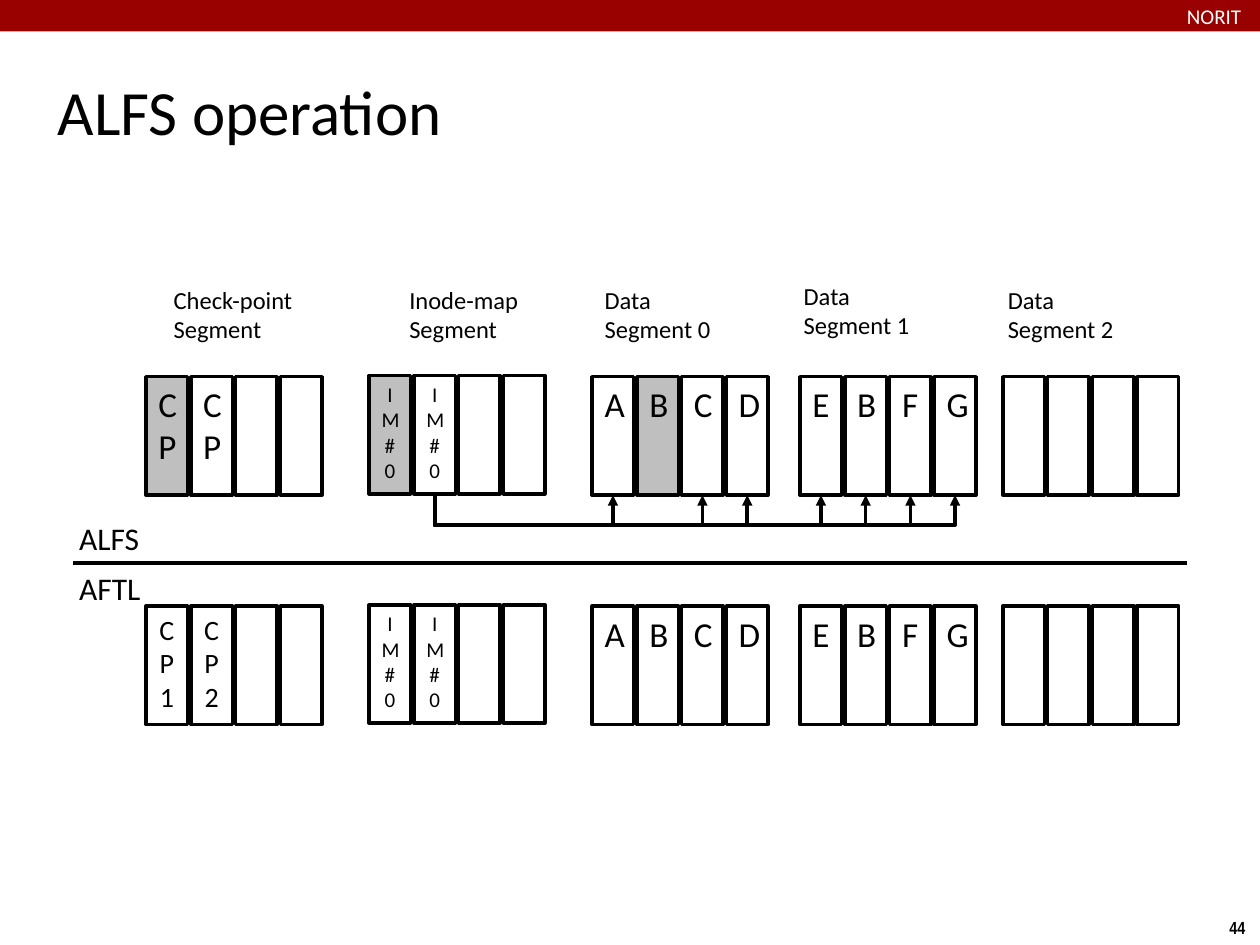
from lxml.etree import SubElement
from pptx import Presentation
from pptx.dml.color import RGBColor
from pptx.enum.shapes import MSO_CONNECTOR as Connector, MSO_SHAPE as Shape
from pptx.enum.text import MSO_ANCHOR as Anchor, PP_ALIGN as Align
from pptx.oxml.ns import qn
from pptx.util import Inches, Pt

WIDTH, HEIGHT = 10, 7.5
BLACK, WHITE, STALE, BANNER = "000000", "FFFFFF", "BFBFBF", "990000"
PITCH, CELL_W, CELL_H = 0.355, 0.33, 0.94
ALFS_TOP, AFTL_TOP = 2.99, 4.81
LABEL_TOP, LABEL_W, LABEL_H = 2.21, 1.17, 0.57
BUS_DROP = 0.25
INSET = 0.1

# label, label left, label lift, segment left, segment lift
SEGMENTS = [
    ("Check-point\nSegment", 1.28, 0, 1.16, 0),
    ("Inode-map\nSegment", 3.15, 0, 2.93, 0.01),
    ("Data\nSegment 0", 4.7, 0, 4.7, 0),
    ("Data\nSegment 1", 6.28, 0.03, 6.35, 0),
    ("Data\nSegment 2", 7.9, 0, 7.96, 0),
]
# per segment: cell texts, font size, indexes of stale cells
IMAP, DATA_1, EMPTY = ["IM#0", "IM#0", "", ""], list("EBFG"), [""] * 4
ALFS = [(["CP", "CP", "", ""], 20, {0}), (IMAP, 12, {0}),
        (list("ABCD"), 20, {1}), (DATA_1, 20, set()), (EMPTY, 20, set())]
AFTL = [(["CP\n1", "CP\n2", "", ""], 16, set()), (IMAP, 12, set()),
        (list("ABCD"), 20, set()), (DATA_1, 20, set()), (EMPTY, 20, set())]


def color(hex_string):
    return RGBColor.from_string(hex_string)


def write(frame, text, size, ink=BLACK, font="Calibri", align=Align.LEFT, bold=False):
    frame.text = text
    for paragraph in frame.paragraphs:
        paragraph.alignment = align
        paragraph.font.name = font
        paragraph.font.size = Pt(size)
        paragraph.font.bold = bold
        paragraph.font.color.rgb = color(ink)


def add_label(slide, box, text, size, inset=INSET, wrap=True, **style):
    frame = slide.shapes.add_textbox(*map(Inches, box)).text_frame
    frame.word_wrap = wrap
    frame.margin_left = frame.margin_right = Inches(inset)
    frame.margin_top = frame.margin_bottom = Inches(inset / 2)
    write(frame, text, size, **style)
    return frame


def add_box(slide, box, fill, outlined=True):
    shape = slide.shapes.add_shape(Shape.RECTANGLE, *map(Inches, box))
    shape.shadow.inherit = False
    shape.fill.solid()
    shape.fill.fore_color.rgb = color(fill)
    if outlined:
        shape.line.color.rgb = color(BLACK)
        shape.line.width = Pt(2)
    else:
        shape.line.fill.background()
    return shape


def add_line(slide, kind, start, end):
    line = slide.shapes.add_connector(kind, *map(Inches, (*start, *end)))
    line.line.color.rgb = color(BLACK)
    line.line.width = Pt(2)
    SubElement(line._element.spPr, qn("a:effectLst"))
    return line


def add_bus_arrow(slide, start, end, drop):
    """Elbow that leaves start downwards by drop, then rises into end."""
    span, step = end[0] - start[0], end[1] - start[1]
    mid_x, mid_y = (start[0] + end[0]) / 2, (start[1] + end[1]) / 2
    # The elbow is laid out sideways, then turned three quarters about its centre.
    arrow = add_line(slide, Connector.ELBOW,
                     (mid_x + step / 2, mid_y - span / 2),
                     (mid_x - step / 2, mid_y + span / 2))
    properties = arrow._element.spPr
    properties.find(qn("a:xfrm")).set("rot", str(270 * 60000))
    guides = properties.find(qn("a:prstGeom")).find(qn("a:avLst"))
    SubElement(guides, qn("a:gd"), name="adj1", fmla=f"val {round(drop / step * 100000)}")
    SubElement(properties.find(qn("a:ln")), qn("a:tailEnd"), type="triangle")


def add_segment(slide, left, top, texts, size, stale):
    for index, text in enumerate(texts):
        box = (left + index * PITCH, top, CELL_W, CELL_H)
        cell = add_box(slide, box, STALE if index in stale else WHITE)
        frame = cell.text_frame
        frame.word_wrap = True
        frame.vertical_anchor = Anchor.TOP
        if text:
            write(frame, text, size, align=Align.CENTER)


def add_layer(slide, top, contents):
    for (_, _, _, left, lift), content in zip(SEGMENTS, contents):
        add_segment(slide, left, top - lift, *content)


def add_segment_labels(slide, top):
    for text, left, lift, _, _ in SEGMENTS:
        add_label(slide, (left, top - lift, LABEL_W, LABEL_H), text, 14)


def add_inode_links(slide, layer_top):
    """Arrows from the current inode map to every live data block."""
    def foot(segment, cell):
        left, lift = SEGMENTS[segment][3:]
        return left + cell * PITCH + CELL_W / 2, layer_top - lift + CELL_H

    for segment in (2, 3):
        texts, _, stale = ALFS[segment]
        for cell in range(len(texts)):
            if cell not in stale:
                add_bus_arrow(slide, foot(1, 1), foot(segment, cell), BUS_DROP)


def add_divider(slide, y):
    add_line(slide, Connector.STRAIGHT, (0.58, y), (9.42, y))
    for text, top in (("ALFS", y - 0.4), ("AFTL", y)):
        add_label(slide, (0.53, top, 0.73, 0.4), text, 18)


def add_frame(slide):
    """Banner, title and page number."""
    add_box(slide, (0, 0, WIDTH, HEIGHT / 30), BANNER, outlined=False)
    add_label(slide, (9.42, 0.03, 0.58, 0.19), "NORIT", 12, inset=0, ink=WHITE)
    title = add_label(slide, (0.42, 0.28, 9.17, 1.19), "ALFS operation", 36, inset=0.04)
    title.vertical_anchor = Anchor.MIDDLE
    add_label(slide, (9.66, 7.23, 0.34, 0.27), "44", 10, wrap=False,
              font="Arial Narrow", bold=True)


def main():
    deck = Presentation()
    deck.slide_width, deck.slide_height = Inches(WIDTH), Inches(HEIGHT)
    slide = deck.slides.add_slide(deck.slide_layouts[6])
    add_frame(slide)
    add_segment_labels(slide, LABEL_TOP)
    add_layer(slide, ALFS_TOP, ALFS)
    add_layer(slide, AFTL_TOP, AFTL)
    add_inode_links(slide, ALFS_TOP)
    add_divider(slide, 4.47)
    deck.save("out.pptx")


if __name__ == "__main__":
    main()
